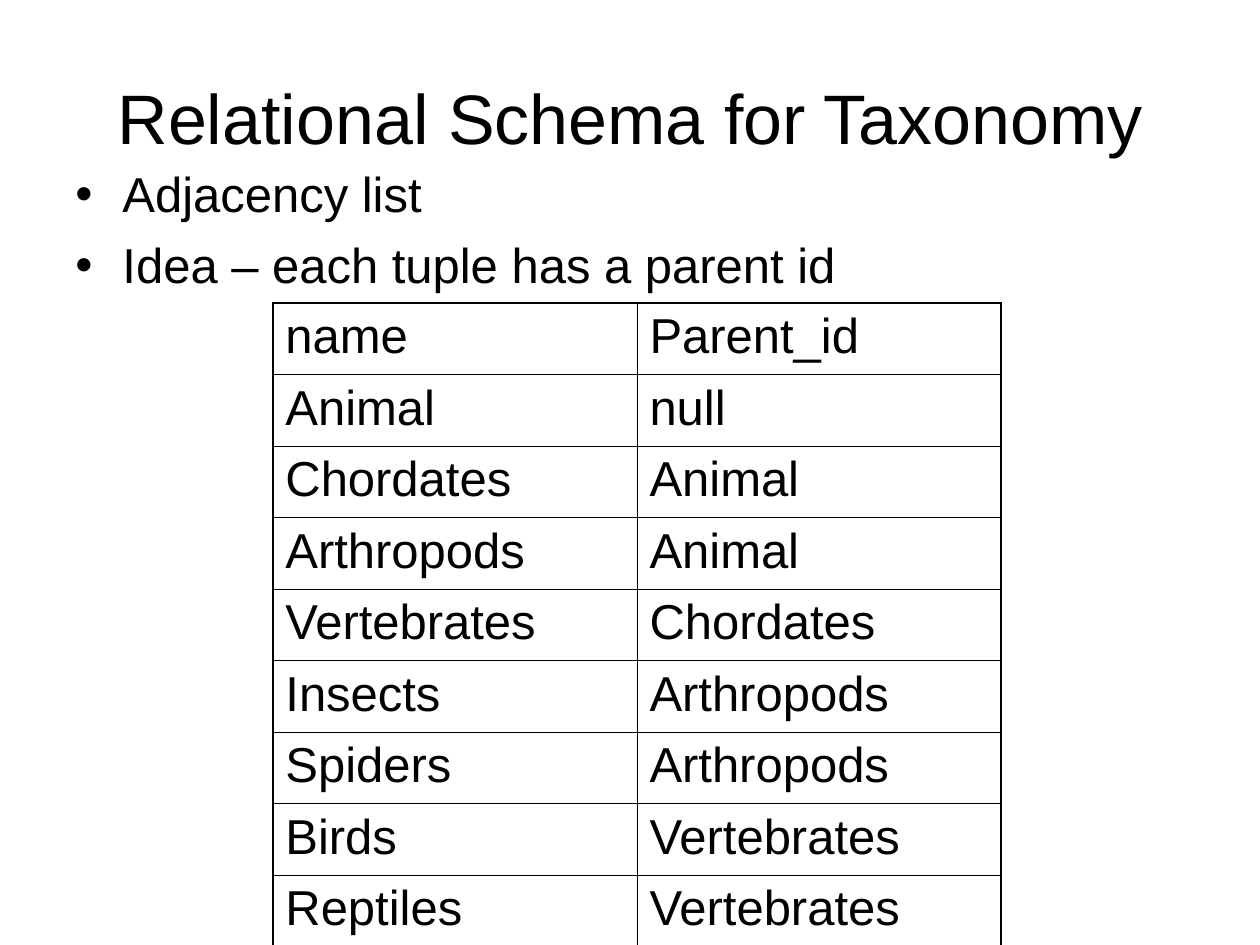
from lxml import etree
from pptx import Presentation
from pptx.dml.color import RGBColor
from pptx.enum.text import MSO_ANCHOR, PP_ALIGN
from pptx.oxml.ns import qn
from pptx.util import Cm, Pt

CENTER, LEFT = PP_ALIGN.CENTER, PP_ALIGN.LEFT
TOP, MIDDLE = MSO_ANCHOR.TOP, MSO_ANCHOR.MIDDLE
COLORS = {"text": "000000", "border": "000000", "background": "FFFFFF"}
FONT = "Arial"
OUTER_LINE, INNER_LINE = Pt(1.08), Pt(0.45)


def add_text(paragraph, text, size, alignment=LEFT):
    paragraph.alignment = alignment
    run = paragraph.add_run()
    run.text = text
    run.font.name = FONT
    run.font.size = Pt(size)
    run.font.color.rgb = RGBColor.from_string(COLORS["text"])


def add_border(cell, side, width):
    properties = cell._tc.get_or_add_tcPr()
    line = etree.SubElement(properties, qn(f"a:ln{side}"), w=str(width))
    fill = etree.SubElement(line, qn("a:solidFill"))
    etree.SubElement(fill, qn("a:srgbClr"), val=COLORS["border"])


presentation = Presentation()
presentation.slide_width, presentation.slide_height = Cm(25.4), Cm(19.05)
slide = presentation.slides.add_slide(presentation.slide_layouts[5])
slide.background.fill.solid()
slide.background.fill.fore_color.rgb = RGBColor.from_string(COLORS["background"])

# Title
title = slide.shapes.title
title.left, title.top, title.width, title.height = Cm(1.27), Cm(0.76), Cm(22.86), Cm(3.18)
title.text_frame.vertical_anchor = MIDDLE
add_text(title.text_frame.paragraphs[0], "Relational Schema for Taxonomy", 40, CENTER)

# Bullet list
bullets = slide.shapes.add_textbox(Cm(1.27), Cm(3.18), Cm(23.29), Cm(6.99))
text_frame = bullets.text_frame
text_frame.word_wrap = True
text_frame.vertical_anchor = TOP
for index, text in enumerate(["Adjacency list", "Idea – each tuple has a parent id"]):
    paragraph = text_frame.add_paragraph() if index else text_frame.paragraphs[0]
    properties = paragraph._p.get_or_add_pPr()
    properties.set("marL", str(Cm(0.95)))
    properties.set("indent", str(-Cm(0.95)))
    etree.SubElement(properties, qn("a:buFont"), typeface=FONT)
    etree.SubElement(properties, qn("a:buChar"), char="•")
    if index:
        paragraph.space_before = Pt(7)
    add_text(paragraph, text, 28)

# Adjacency table
rows = [
    ("name", "Parent_id"),
    ("Animal", "null"),
    ("Chordates", "Animal"),
    ("Arthropods", "Animal"),
    ("Vertebrates", "Chordates"),
    ("Insects", "Arthropods"),
    ("Spiders", "Arthropods"),
    ("Birds", "Vertebrates"),
    ("Reptiles", "Vertebrates"),
]
last_row, last_column = len(rows) - 1, len(rows[0]) - 1
table = slide.shapes.add_table(
    len(rows), len(rows[0]), Cm(5.5), Cm(6.11), Cm(14.68), Cm(12.94)
).table
table.first_row = False
table.horz_banding = False
for row_index, row in enumerate(rows):
    for column_index, text in enumerate(row):
        cell = table.cell(row_index, column_index)
        add_text(cell.text_frame.paragraphs[0], text, 28)
        # Heavier lines around the outside of the table
        outer_sides = {
            "L": column_index == 0,
            "R": column_index == last_column,
            "T": row_index == 0,
            "B": row_index == last_row,
        }
        for side, is_outer in outer_sides.items():
            add_border(cell, side, OUTER_LINE if is_outer else INNER_LINE)
        cell.fill.background()

presentation.save("out.pptx")
